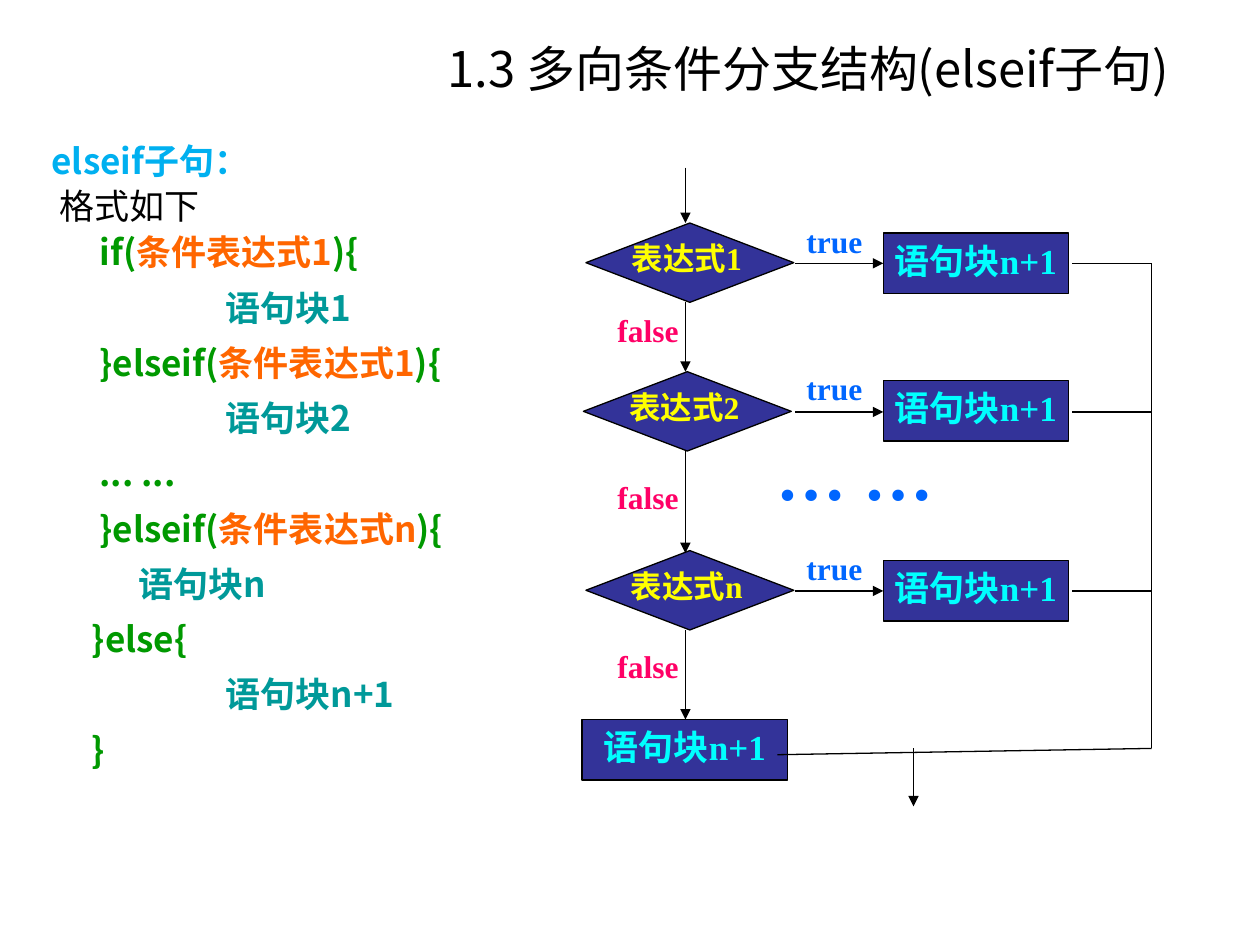
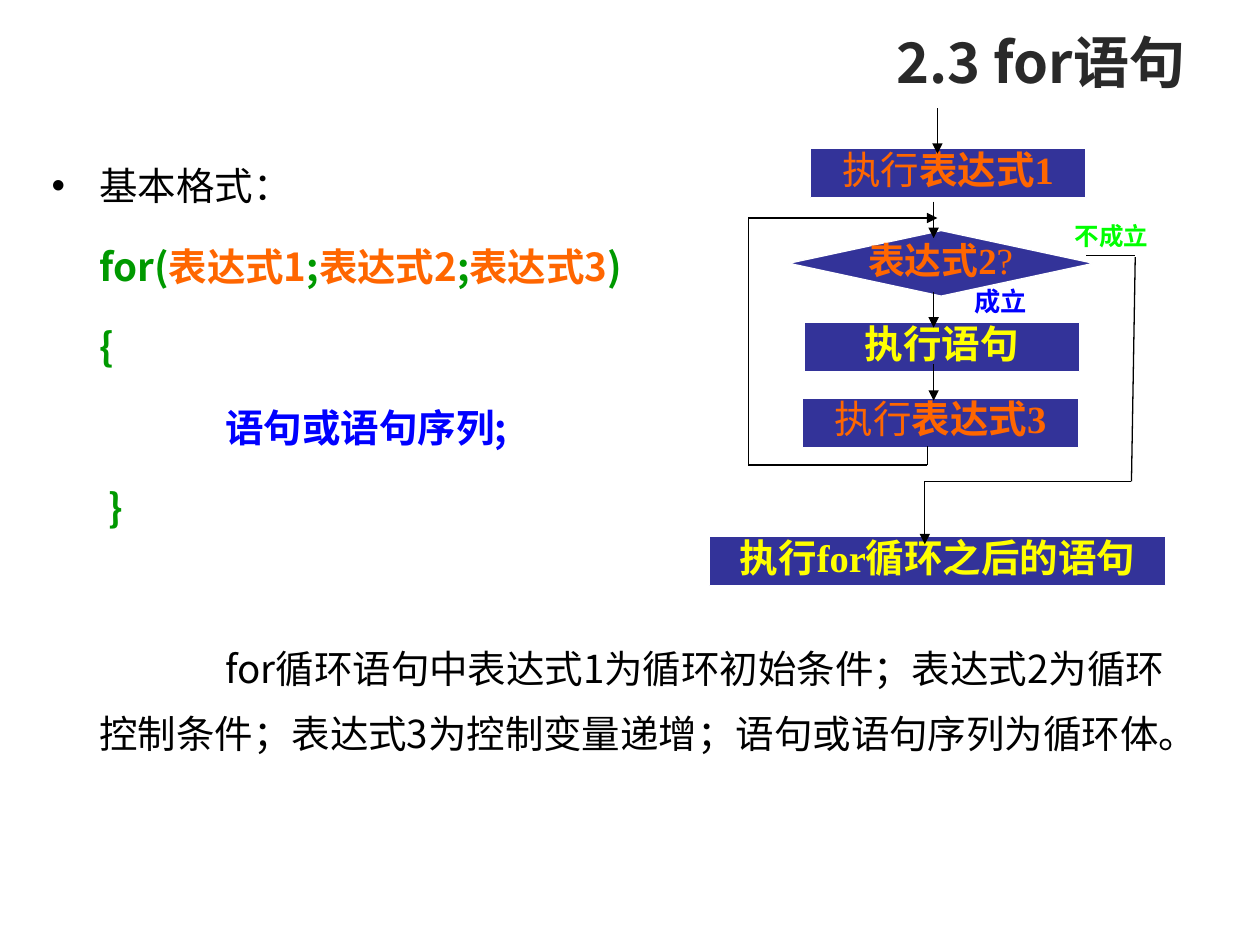
"""Build two slides on the elseif clause and the for statement, each with a flowchart."""
from lxml.etree import SubElement
from pptx import Presentation
from pptx.dml.color import RGBColor
from pptx.enum.shapes import MSO_CONNECTOR, MSO_SHAPE
from pptx.enum.text import MSO_ANCHOR, MSO_AUTO_SIZE, PP_ALIGN
from pptx.oxml.ns import qn
from pptx.util import Inches, Pt

SANS = "Noto Sans CJK SC"
SERIF = "Times New Roman"
BLACK = RGBColor(0x00, 0x00, 0x00)
WHITE = RGBColor(0xFF, 0xFF, 0xFF)
CHARCOAL = RGBColor(0x29, 0x29, 0x29)
INDIGO = RGBColor(0x33, 0x33, 0x99)
SKY = RGBColor(0x00, 0xB0, 0xF0)
GREEN = RGBColor(0x00, 0x99, 0x00)
LIME = RGBColor(0x00, 0xFF, 0x00)
ORANGE = RGBColor(0xFF, 0x66, 0x00)
TEAL = RGBColor(0x00, 0x99, 0x99)
YELLOW = RGBColor(0xFF, 0xFF, 0x00)
CYAN = RGBColor(0x00, 0xFF, 0xFF)
AZURE = RGBColor(0x00, 0x66, 0xFF)
PINK = RGBColor(0xFF, 0x00, 0x66)
BLUE = RGBColor(0x00, 0x00, 0xFF)


def add_runs(paragraph, runs, size, font):
    """Append (text, colour, bold) runs to a paragraph."""
    for text, color, bold in runs:
        run = paragraph.add_run()
        run.text = text
        run.font.size = Pt(size)
        run.font.name = font
        run.font.bold = bold
        run.font.color.rgb = color
        SubElement(run.font._element, qn("a:ea"), typeface=SANS)


def add_node(slide, preset, box, runs=(), size=18, outline=BLACK, spacing=1.0, align=PP_ALIGN.CENTER, wrap=True):
    """Add a filled flowchart shape, or a bare label when preset is None."""
    place = [Inches(length) for length in box]
    if preset is None:
        node = slide.shapes.add_textbox(*place)
    else:
        node = slide.shapes.add_shape(preset, *place)
        node.shadow.inherit = False
        node.fill.solid()
        node.fill.fore_color.rgb = INDIGO
        node.line.color.rgb = outline
        node.line.width = Pt(0.75)
    frame = node.text_frame
    frame.word_wrap = wrap
    frame.vertical_anchor = MSO_ANCHOR.TOP
    frame.margin_left = frame.margin_right = Inches(0.09)
    paragraph = frame.paragraphs[0]
    paragraph.alignment = align
    paragraph.line_spacing = spacing
    add_runs(paragraph, runs, size, SERIF)


prs = Presentation()
prs.slide_width, prs.slide_height = Inches(10), Inches(7.5)

elseif_lines = [
    (0, 0, [("elseif子句：", SKY, True)]),
    (0.06, 0, [("格式如下", BLACK, False)]),
    (0.38, 0, [("if(", GREEN, True), ("条件表达式1", ORANGE, True), ("){", GREEN, True)]),
    (1.38, 0, [("语句块1", TEAL, True)]),
    (0.38, 0, [("}elseif(", GREEN, True), ("条件表达式1", ORANGE, True), ("){", GREEN, True)]),
    (1.38, 0, [("语句块2", TEAL, True)]),
    (0.38, 0, [("... ...", GREEN, True)]),
    (0.38, 0, [("}elseif(", GREEN, True), ("条件表达式n", ORANGE, True), ("){", GREEN, True)]),
    (0.69, 0, [("语句块n", TEAL, True)]),
    (0.32, 0, [("}else{", GREEN, True)]),
    (1.38, 0, [("语句块n+1", TEAL, True)]),
    (0.32, 0, [("}", GREEN, True)]),
]
for_lines = [
    (0.38, -0.38, [("基本格式：", BLACK, False)]),
    (0.38, 0, [("for(", GREEN, True), ("表达式1", ORANGE, True), (";", GREEN, True),
               ("表达式2", ORANGE, True), (";", GREEN, True), ("表达式3", ORANGE, True),
               (")", GREEN, True)]),
    (0.38, 0, [("{", GREEN, True)]),
    (1.38, 0, [("语句或语句序列;", BLUE, True)]),
    (0.45, 0, [("}", GREEN, True)]),
    (0.38, 1, [("for循环语句中表达式1为循环初始条件；表达式2为循环控制条件；"
                "表达式3为控制变量递增；语句或语句序列为循环体。", BLACK, False)]),
]
pages = [
    ([("1.3 多向条件分支结构(elseif子句)", BLACK, False)], 28, (2.27, 0.23, 7.11, 0.62),
     elseif_lines, 20, 21.6, [(4, 0)] * 2 + [(5, 5)] * 10),
    ([("2.3 for语句", CHARCOAL, True)], 32, (0.51, 0.16, 9, 0.65),
     for_lines, 22, 36.96, [(4, 0)] + [(9, 0)] * 4 + [(55, 0)]),
]
slides = []
for heading, heading_size, heading_box, lines, size, pitch, gaps in pages:
    slide = prs.slides.add_slide(prs.slide_layouts[1])
    slides.append(slide)
    title, body = slide.shapes.title, slide.placeholders[1]
    for holder, box in ((title, heading_box), (body, (0.31, 1.09, 9.06, 5.78))):
        holder.left, holder.top, holder.width, holder.height = [Inches(length) for length in box]
        holder.text_frame.auto_size = MSO_AUTO_SIZE.NONE
    title.text_frame.vertical_anchor = MSO_ANCHOR.MIDDLE
    title.text_frame.paragraphs[0].alignment = PP_ALIGN.RIGHT
    add_runs(title.text_frame.paragraphs[0], heading, heading_size, SANS)
    for index, ((margin, indent, runs), (before, after)) in enumerate(zip(lines, gaps)):
        paragraph = body.text_frame.add_paragraph() if index else body.text_frame.paragraphs[0]
        paragraph.line_spacing = Pt(pitch)
        paragraph.space_before, paragraph.space_after = Pt(before), Pt(after)
        properties = paragraph._p.get_or_add_pPr()
        properties.set("marL", str(Inches(margin)))
        properties.set("indent", str(Inches(indent)))
        if indent < 0:
            SubElement(properties, qn("a:buChar"), char="•")
        else:
            SubElement(properties, qn("a:buNone"))
        add_runs(paragraph, runs, size, SANS)
elseif_slide, for_slide = slides

elseif_links = [
    (5.44, 1.33, 5.44, 1.77, True),
    (5.44, 2.4, 5.44, 2.95, True),
    (5.44, 3.58, 5.44, 4.39, True),
    (5.44, 5, 5.44, 5.71, True),
    (9.14, 2.09, 9.14, 5.94, False),
    (9.14, 5.94, 6.17, 5.99, False),
    (7.25, 5.94, 7.25, 6.4, True),
]
branches = [("1", 4.65, 1.77, 1.85, 1.77, 2.48),
            ("2", 4.63, 2.95, 3.02, 2.94, 3.8),
            ("n", 4.65, 4.37, 4.45, 4.37, 5.14)]
block_text = [("语句块n+1", CYAN, True)]
for number, left, top, block_top, true_top, false_top in branches:
    add_node(elseif_slide, MSO_SHAPE.DIAMOND, (left, top, 1.65, 0.63))
    add_node(elseif_slide, None, (left + 0.18, top + 0.08, 1.24, 0.39), [("表达式" + number, YELLOW, True)])
    add_node(elseif_slide, MSO_SHAPE.RECTANGLE, (7.01, block_top, 1.47, 0.48), block_text, 20, wrap=False)
    for word, color, box in (("true", AZURE, (6.31, true_top, 0.63, 0.33)),
                             ("false", PINK, (4.81, false_top, 0.71, 0.33))):
        add_node(elseif_slide, None, box, [(word, color, True)], spacing=0.8, align=PP_ALIGN.LEFT)
    middle = top + 0.32
    elseif_links += [(6.31, middle, 7.01, middle, True), (8.51, middle, 9.14, middle, False)]
add_node(elseif_slide, MSO_SHAPE.RECTANGLE, (4.62, 5.71, 1.63, 0.48), block_text, 20, wrap=False)
add_node(elseif_slide, None, (6.07, 3.5, 1.49, 0.62), [("… …", AZURE, True)], 40,
         spacing=0.8, align=PP_ALIGN.LEFT)

add_node(for_slide, MSO_SHAPE.DIAMOND, (6.26, 1.83, 2.42, 0.52), outline=WHITE)
add_node(for_slide, None, (6.76, 1.84, 1.41, 0.44), [("表达式2", ORANGE, True), ("?", ORANGE, False)], 21)
steps = [
    (6.43, 1.18, 2.19, [("执行", ORANGE, False), ("表达式1", ORANGE, True)]),
    (6.38, 2.56, 2.19, [("执行语句", YELLOW, True)]),
    (6.37, 3.16, 2.19, [("执行", ORANGE, False), ("表达式3", ORANGE, True)]),
    (5.63, 4.26, 3.62, [("执行for循环之后的语句", YELLOW, True)]),
]
for left, top, width, runs in steps:
    add_node(for_slide, MSO_SHAPE.RECTANGLE, (left, top, width, 0.39), runs, 22, WHITE, 0.8)
for word, color, size, box in (("成立", BLUE, 15, (7.64, 2.26, 0.79, 0.29)),
                               ("不成立", LIME, 14, (8.44, 1.75, 0.8, 0.28))):
    add_node(for_slide, None, box, [(word, color, True)], size, spacing=0.8, align=PP_ALIGN.LEFT)

for_links = [
    (7.44, 0.86, 7.44, 1.22, True),
    (7.41, 1.6, 7.41, 1.89, True),
    (7.41, 2.32, 7.41, 2.6, True),
    (7.41, 2.89, 7.41, 3.18, True),
    (8.62, 2.03, 9.01, 2.03, False),
    (9.01, 2.04, 8.98, 3.82, False),
    (8.98, 3.82, 7.34, 3.82, False),
    (7.34, 3.82, 7.34, 4.32, True),
    (7.36, 3.54, 7.36, 3.69, False),
    (7.36, 3.69, 5.94, 3.69, False),
    (5.94, 3.69, 5.94, 1.73, False),
    (5.94, 1.73, 7.44, 1.73, True),
]
for slide, links in ((elseif_slide, elseif_links), (for_slide, for_links)):
    for *ends, has_arrow in links:
        link = slide.shapes.add_connector(MSO_CONNECTOR.STRAIGHT, *[Inches(end) for end in ends])
        link.line.color.rgb = BLACK
        link.line.width = Pt(0.75)
        if has_arrow:
            SubElement(link.line._get_or_add_ln(), qn("a:tailEnd"), type="triangle")
        SubElement(link._element.spPr, qn("a:effectLst"))

prs.save("out.pptx")
